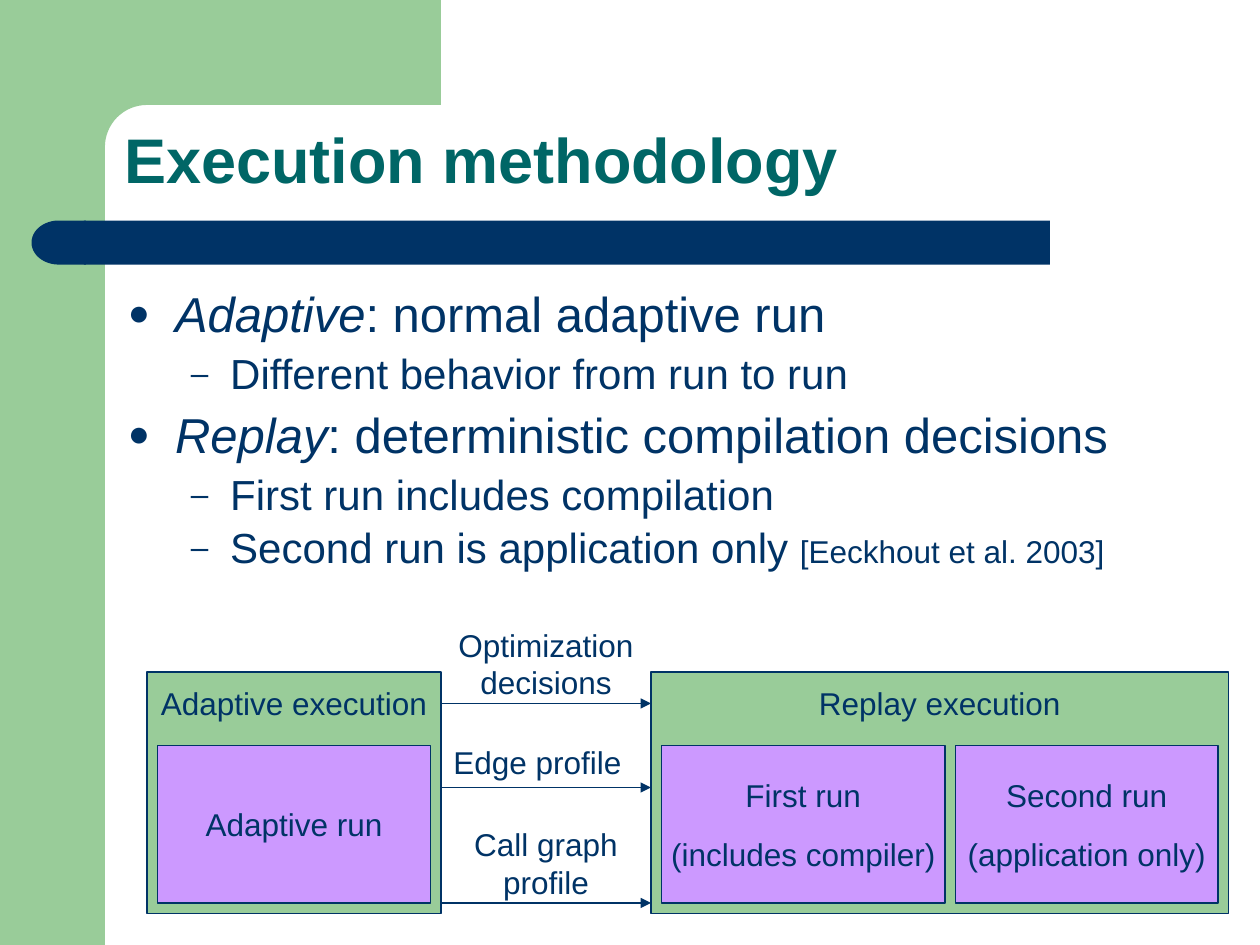
from dataclasses import dataclass
from math import cos, pi, sin

from lxml.etree import SubElement
from pptx import Presentation
from pptx.dml.color import RGBColor
from pptx.enum.shapes import MSO_CONNECTOR as CONN, MSO_SHAPE as SHAPE
from pptx.enum.text import MSO_ANCHOR as ANCHOR, PP_ALIGN as ALIGN
from pptx.oxml.ns import qn
from pptx.util import Pt


@dataclass(frozen=True)
class Theme:
    """Colours, font and type sizes."""
    green: str = "99CC99"
    navy: str = "003366"
    teal: str = "006666"
    violet: str = "CC99FF"
    font: str = "Arial"
    title: int = 36
    bullet: int = 28
    sub_bullet: int = 24
    small: int = 18
    line: float = 0.74


@dataclass(frozen=True)
class Box:
    """A bordered box of the diagram."""
    left: float
    width: float
    text: str
    outer: bool = False


@dataclass(frozen=True)
class Flow:
    """An arrow and the label above it."""
    y: float
    label_top: float
    text: str
    align: ALIGN = ALIGN.CENTER


@dataclass(frozen=True)
class Bullet:
    """One list line: an italic lead, the main text and a small note."""
    level: int
    before: float
    text: str
    lead: str = ""
    note: str = ""


T = Theme()
FLOW_LEFT, FLOW_RIGHT = 252, 372

BOXES = [
    Box(84, 168, "Adaptive execution", outer=True),
    Box(372, 330, "Replay execution", outer=True),
    Box(90, 156, "Adaptive run"),
    Box(378, 162, "First run\n(includes compiler)"),
    Box(546, 150, "Second run\n(application only)"),
]
FLOWS = [
    Flow(402, 354, "Optimization decisions"),
    Flow(450, 421, "Edge profile", ALIGN.LEFT),
    Flow(516, 468, "Call graph profile"),
]
BULLETS = [
    Bullet(0, 7, ": normal adaptive run", lead="Adaptive"),
    Bullet(1, 6, "Different behavior from run to run"),
    Bullet(0, 7, ": deterministic compilation decisions", lead="Replay"),
    Bullet(1, 6, "First run includes compilation"),
    Bullet(1, 4.5, "Second run is application only ", note="[Eeckhout et al. 2003]"),
]


def paint(sp, fill: str, bordered: bool = False) -> None:
    """Fill a shape, drop its shadow and set its border."""
    sp.shadow.inherit = False
    sp.fill.solid()
    sp.fill.fore_color.rgb = RGBColor.from_string(fill)
    if bordered:
        sp.line.color.rgb = RGBColor.from_string(T.navy)
        sp.line.width = Pt(T.line)
    else:
        sp.line.fill.background()


def style(r, size: float, color: str = T.navy, bold: bool = False, italic: bool = False) -> None:
    """Format one run."""
    r.font.name, r.font.size = T.font, Pt(size)
    r.font.bold, r.font.italic = bold, italic
    r.font.color.rgb = RGBColor.from_string(color)


def add_block(s, kind, left: float, top: float, width: float, height: float, fill: str, bordered: bool = False):
    """Add a painted preset shape."""
    sp = s.shapes.add_shape(kind, Pt(left), Pt(top), Pt(width), Pt(height))
    paint(sp, fill, bordered)
    return sp


def add_text(s, left: float, top: float, width: float, height: float):
    """Add a wrapping text box and return its frame."""
    tf = s.shapes.add_textbox(Pt(left), Pt(top), Pt(width), Pt(height)).text_frame
    tf.word_wrap = True
    return tf


def add_backdrop(s) -> None:
    """Draw the side band, the rounded corner panel and the title bar."""
    add_block(s, SHAPE.RECTANGLE, 0, 0, 60, 540, T.green)
    steps, radius = 16, 24
    angles = [pi / 2 * i / steps for i in range(steps + 1)]
    arc = [(84 - radius * sin(a), 84 - radius * cos(a)) for a in angles]
    points = [(252, 0), (252, 60), *arc, (60, 92), (36, 92), (36, 0)]
    corner = [(Pt(x), Pt(y)) for x, y in points]
    fb = s.shapes.build_freeform(*corner[0], scale=1.0)
    fb.add_line_segments(corner[1:], close=True)
    paint(fb.convert_to_shape(), T.green)
    add_block(s, SHAPE.RECTANGLE, 48, 126, 552, 25.2, T.navy)
    add_block(s, SHAPE.FLOWCHART_DELAY, 18, 126, 31, 25.2, T.navy).rotation = 180


def add_title(s, text: str) -> None:
    """Write the slide title."""
    tf = add_text(s, 64, 64, 616, 52.5)
    tf.vertical_anchor = ANCHOR.BOTTOM
    tf.text = text
    p = tf.paragraphs[0]
    p.line_spacing = 0.9
    style(p.runs[0], T.title, T.teal, bold=True)


def set_bullet(p, level: int) -> None:
    """Set the hanging indent and the bullet mark."""
    margin, hang, mark = [(27, 27, "●"), (58.5, 22.5, "–")][level]
    pPr = p._p.get_or_add_pPr()
    pPr.set("marL", str(Pt(margin)))
    pPr.set("indent", str(-Pt(hang)))
    color = SubElement(pPr, qn("a:buClr"))
    SubElement(color, qn("a:srgbClr"), val=T.navy)
    SubElement(pPr, qn("a:buSzPct"), val="75000")
    SubElement(pPr, qn("a:buFont"), typeface=T.font)
    SubElement(pPr, qn("a:buChar"), char=mark)


def add_bullets(s, bullets: list[Bullet]) -> None:
    """Write the two-level list."""
    tf = add_text(s, 66, 162, 606, 180)
    for i, b in enumerate(bullets):
        p = tf.add_paragraph() if i else tf.paragraphs[0]
        p.level, p.line_spacing, p.space_before = b.level, 0.9, Pt(b.before)
        set_bullet(p, b.level)
        size = T.sub_bullet if b.level else T.bullet
        for text, points, italic in [(b.lead, size, True), (b.text, size, False), (b.note, T.small, False)]:
            if text:
                r = p.add_run()
                r.text = text
                style(r, points, italic=italic)


def add_box(s, box: Box) -> None:
    """Draw an outer or an inner box with centred text."""
    top, height, fill = (384, 138, T.green) if box.outer else (426, 90, T.violet)
    tf = add_block(s, SHAPE.RECTANGLE, box.left, top, box.width, height, fill, True).text_frame
    tf.word_wrap = False
    tf.vertical_anchor = ANCHOR.TOP if box.outer else ANCHOR.MIDDLE
    if box.outer:
        tf.margin_top = Pt(7)
    tf.text = box.text
    for i, p in enumerate(tf.paragraphs):
        p.alignment = ALIGN.CENTER
        p.space_before = Pt(12 if i else 0)
        style(p.runs[0], T.small)


def add_flow(s, flow: Flow) -> None:
    """Draw an arrow between the outer boxes with its label."""
    cx = s.shapes.add_connector(CONN.STRAIGHT, Pt(FLOW_LEFT), Pt(flow.y), Pt(FLOW_RIGHT), Pt(flow.y))
    cx.line.color.rgb = RGBColor.from_string(T.navy)
    cx.line.width = Pt(T.line)
    SubElement(cx.line._get_or_add_ln(), qn("a:tailEnd"), type="triangle")
    SubElement(cx._element.spPr, qn("a:effectLst"))
    tf = add_text(s, FLOW_LEFT, flow.label_top, FLOW_RIGHT - FLOW_LEFT, flow.y - flow.label_top)
    tf.text = flow.text
    p = tf.paragraphs[0]
    p.alignment = flow.align
    style(p.runs[0], T.small)


prs = Presentation()
prs.slide_width, prs.slide_height = Pt(720), Pt(540)
s = prs.slides.add_slide(prs.slide_layouts[6])
add_backdrop(s)
add_title(s, "Execution methodology")
add_bullets(s, BULLETS)
for box in BOXES:
    add_box(s, box)
for flow in FLOWS:
    add_flow(s, flow)
prs.save("out.pptx")
